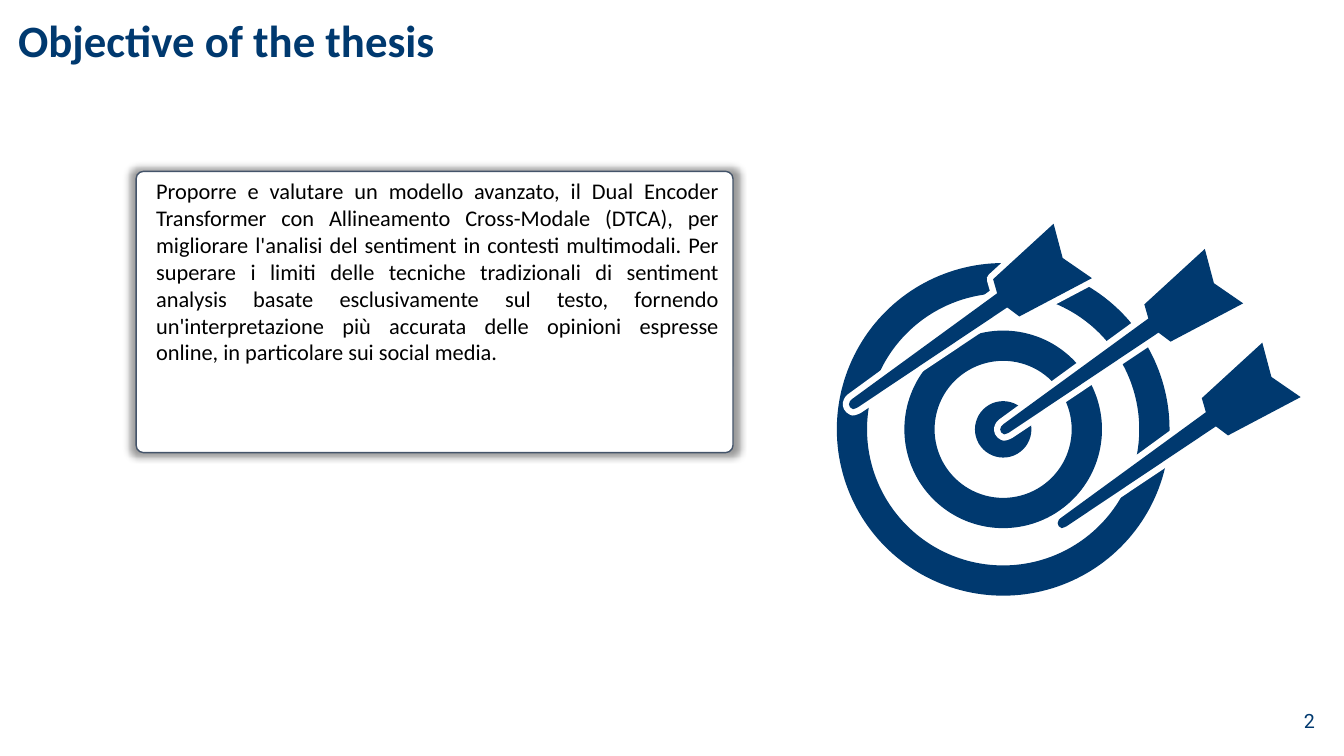
from lxml import etree
from pptx import Presentation, util as u
from pptx.dml.color import RGBColor
from pptx.enum import shapes, text
from pptx.oxml import ns

NAVY, WHITE, SLATE, BLACK = "00396F", "FFFFFF", "44546A", "000000"
BODY = ("Proporre e valutare un modello avanzato, il Dual Encoder Transformer con "
        "Allineamento Cross-Modale (DTCA), per migliorare l'analisi del sentiment in "
        "contesti multimodali. Per superare i limiti delle tecniche tradizionali di "
        "sentiment analysis basate esclusivamente sul testo, fornendo "
        "un'interpretazione più accurata delle opinioni espresse online, in "
        "particolare sui social media.")
DART = [(1.69, .92), (2.41, .54), (2.12, .34), (2.03, 0), (1.43, .55), (1.47, .69),
        (.03, 1.74), (.01, 1.76), (0, 1.79), (.01, 1.82), (.04, 1.84), (.07, 1.83),
        (.09, 1.82), (1.57, .83)]
DART_OFFSETS = [(1.62, -.14), (2.19, .79), (.12, -.39)]
RINGS = [(1.65, .3), (.98, .3), (.28, None)]


def color(value):
    """Turn a hex string into a colour."""
    return RGBColor.from_string(value)


def inches(*values):
    """Turn numbers into lengths."""
    return [u.Inches(v) for v in values]


def paint(sp, fill, line=None, width=1):
    """Set fill and line of a shape and clear its shadow."""
    sp.shadow.inherit = False
    sp.fill.solid()
    sp.fill.fore_color.rgb = color(fill)
    if line:
        sp.line.color.rgb = color(line)
        sp.line.width = u.Pt(width)
    else:
        sp.line.fill.background()


def add_text(s, box, words, font, hue, frame=None, para=None):
    """Place a one-paragraph text box."""
    tf = s.shapes.add_textbox(*inches(*box)).text_frame
    p = tf.paragraphs[0]
    r = p.add_run()
    r.text = words
    r.font.color.rgb = color(hue)
    formats = [(tf, {"word_wrap": True, **(frame or {})}), (p, para or {}), (r.font, font)]
    for target, values in formats:
        for name, value in values.items():
            setattr(target, name, value)


def add_title(s, box):
    """Place the slide title."""
    margins = {f"margin_{side}": 0 for side in ("left", "top", "right", "bottom")}
    add_text(s, box, "Objective of the thesis",
             {"name": "Calibri", "size": u.Pt(32), "bold": True}, NAVY,
             margins, {"line_spacing": .9})


def add_card(s, box):
    """Place the rounded card with a soft shadow and its text."""
    x, y, w, h = box
    sp = s.shapes.add_shape(shapes.MSO_SHAPE.ROUNDED_RECTANGLE, *inches(*box))
    sp.adjustments[0] = .026
    paint(sp, WHITE, SLATE)
    effects = sp._element.spPr.find(ns.qn("a:effectLst"))
    shadow = etree.SubElement(effects, ns.qn("a:outerShdw"), blurRad=str(u.Pt(5)),
                              dist="0", dir="0", sx="102000", sy="102000",
                              algn="ctr", rotWithShape="0")
    hue = etree.SubElement(shadow, ns.qn("a:srgbClr"), val=BLACK)
    etree.SubElement(hue, ns.qn("a:alpha"), val="40000")
    add_text(s, (x + .1, y + .01, w - .14, 1.99), BODY,
             {"name": "Calibri", "size": u.Pt(16)}, BLACK,
             {"auto_size": text.MSO_AUTO_SIZE.SHAPE_TO_FIT_TEXT},
             {"alignment": text.PP_ALIGN.JUSTIFY})


def add_dart(group, x, y, fill, halo=None):
    """Draw a dart, with a wide round-joined outline when a halo is given."""
    points = [inches(x + dx, y + dy) for dx, dy in DART]
    builder = group.shapes.build_freeform(*points[0])
    builder.add_line_segments(points[1:], close=True)
    sp = builder.convert_to_shape()
    paint(sp, fill, halo, 9)
    if halo:
        etree.SubElement(sp.line._get_or_add_ln(), ns.qn("a:round"))


def add_target(s, box):
    """Draw the target rings and the three darts."""
    x, y, size = box
    group = s.shapes.add_group_shape()
    cx, cy = x + size / 2, y + size / 2
    for radius, band in RINGS:
        kind = shapes.MSO_SHAPE.DONUT if band else shapes.MSO_SHAPE.OVAL
        sp = group.shapes.add_shape(
            kind, *inches(cx - radius, cy - radius, 2 * radius, 2 * radius))
        if band:
            sp.adjustments[0] = band / (2 * radius)
        paint(sp, NAVY)
    for fill, halo in ((WHITE, WHITE), (NAVY, None)):
        for dx, dy in DART_OFFSETS:
            add_dart(group, x + dx, y + dy, fill, halo)


def add_page_number(s, box):
    """Place the page number."""
    add_text(s, box, "2", {"name": "Roboto", "size": u.Pt(14)}, NAVY,
             {"vertical_anchor": text.MSO_ANCHOR.MIDDLE},
             {"alignment": text.PP_ALIGN.RIGHT})


def main():
    """Build the slide and save it."""
    prs = Presentation()
    prs.slide_width, prs.slide_height = inches(13.33, 7.5)
    s = prs.slides.add_slide(prs.slide_layouts[6])
    add_page_number(s, (10.14, 6.95, 3, .4))
    add_title(s, (.18, .19, 4.59, .52))
    add_card(s, (1.35, 1.7, 5.92, 2.79))
    add_target(s, (8.3, 2.61, 3.3))
    prs.save("out.pptx")


if __name__ == "__main__":
    main()
